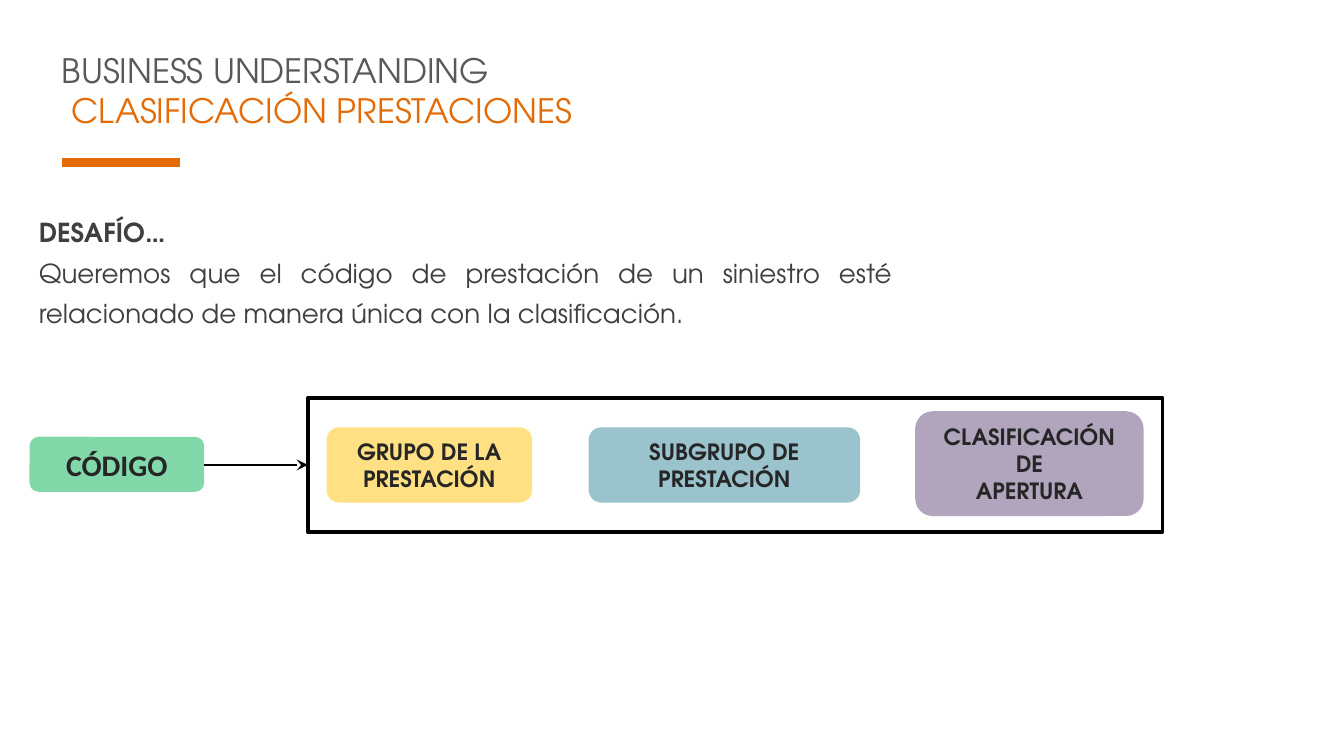
from pptx import Presentation
from pptx.dml.color import RGBColor
from pptx.enum.shapes import MSO_CONNECTOR, MSO_SHAPE
from pptx.enum.text import MSO_ANCHOR, PP_ALIGN
from pptx.oxml.ns import qn
from pptx.util import Inches, Pt
from lxml.etree import SubElement

# Content
FONT = "TeX Gyre Adventor"
ORANGE, BLACK, INK = "E36C09", "000000", "262626"
TITLE = [("BUSINESS UNDERSTANDING", "595959", 0),
         ("CLASIFICACIÓN PRESTACIONES", ORANGE, 0.07)]  # text, colour, indent
CHALLENGE = [("DESAFÍO…", True),
             ("Queremos que el código de prestación de un siniestro esté "
              "relacionado de manera única con la clasificación.", False)]
# lines, (left, top, width, height), fill, font, size
BOXES = [
    (["GRUPO DE LA", "PRESTACIÓN"], (2.43, 3.18, 1.53, 0.56), "FFC000", FONT, 12),
    (["SUBGRUPO DE", "PRESTACIÓN"], (4.38, 3.18, 2.02, 0.56), "31859B", FONT, 12),
    (["CLASIFICACIÓN", "DE", "APERTURA"], (6.81, 3.06, 1.7, 0.78), "5F497A", FONT, 12),
    (["CÓDIGO"], (0.22, 3.25, 1.3, 0.41), "00B050", "Calibri", 16),
]
FRAME = (2.29, 2.96, 6.36, 1)
OPACITY = 49


def rgb(value):
    return RGBColor.from_string(value)


def add_run(p, text, font, size, color, bold=False):
    r = p.add_run()
    r.text = text
    r.font.name, r.font.size, r.font.bold = font, Pt(size), bold
    r.font.color.rgb = rgb(color)


def paragraphs(tf, count):
    return [tf.paragraphs[0]] + [tf.add_paragraph() for _ in range(count - 1)]


def add_line(shapes, x1, x2, y, color, width, arrow=False):
    line = shapes.add_connector(MSO_CONNECTOR.STRAIGHT, Inches(x1), Inches(y),
                                Inches(x2), Inches(y))
    line.line.color.rgb = rgb(color)
    line.line.width = Pt(width)
    if arrow:
        SubElement(line.line._get_or_add_ln(), qn("a:tailEnd"), type="stealth")
    SubElement(line._element.spPr, qn("a:effectLst"))


def add_shape(shapes, kind, area):
    sp = shapes.add_shape(kind, *map(Inches, area))
    sp.shadow.inherit = False
    return sp


def add_box(shapes, lines, area, fill, font, size):
    sp = add_shape(shapes, MSO_SHAPE.ROUNDED_RECTANGLE, area)
    sp.fill.solid()
    sp.fill.fore_color.rgb = rgb(fill)
    color = sp._element.spPr.find(qn("a:solidFill"))[0]
    SubElement(color, qn("a:alpha"), val=str(OPACITY * 1000))
    sp.line.fill.background()
    tf = sp.text_frame
    tf.word_wrap = True
    tf.vertical_anchor = MSO_ANCHOR.MIDDLE
    p = tf.paragraphs[0]
    p.alignment = PP_ALIGN.CENTER
    for i, text in enumerate(lines):
        if i:
            p.add_line_break()
        add_run(p, text, font, size, INK, True)


# Widescreen slide, 16:9
prs = Presentation()
prs.slide_width = Inches(10)
prs.slide_height = prs.slide_width * 9 // 16
s = prs.slides.add_slide(prs.slide_layouts[5])
shapes = s.shapes

# Title and its accent bar
title = shapes.title
title.left, title.top = Inches(0.36), Inches(0.32)
title.width, title.height = Inches(4.14), Inches(0.71)
tf = title.text_frame
tf.word_wrap = True
tf.vertical_anchor = MSO_ANCHOR.TOP
for p, (text, color, indent) in zip(paragraphs(tf, len(TITLE)), TITLE):
    p.alignment = PP_ALIGN.LEFT
    p._p.get_or_add_pPr().set("marL", str(Inches(indent)))
    add_run(p, text, FONT, 18, color)
add_line(shapes, 0.46, 1.34, 1.21, ORANGE, 4.5)

# Challenge statement
tf = shapes.add_textbox(Inches(0.19), Inches(1.49), Inches(6.55),
                        Inches(1.02)).text_frame
tf.word_wrap = True
for p, (text, bold) in zip(paragraphs(tf, len(CHALLENGE)), CHALLENGE):
    p.alignment = PP_ALIGN.JUSTIFY
    p.line_spacing = 1.3
    add_run(p, text, FONT, 14, "3F3F3F", bold)

# Diagram: classification levels, code, arrow and frame
for box in BOXES:
    add_box(shapes, *box)
code_left, _, code_width, _ = BOXES[-1][1]
frame_left, frame_top, _, frame_height = FRAME
add_line(shapes, code_left + code_width, frame_left,
         frame_top + frame_height / 2, BLACK, 0.75, arrow=True)
frame = add_shape(shapes, MSO_SHAPE.RECTANGLE, FRAME)
frame.fill.background()
frame.line.color.rgb = rgb(BLACK)
frame.line.width = Pt(2)

prs.save("out.pptx")
